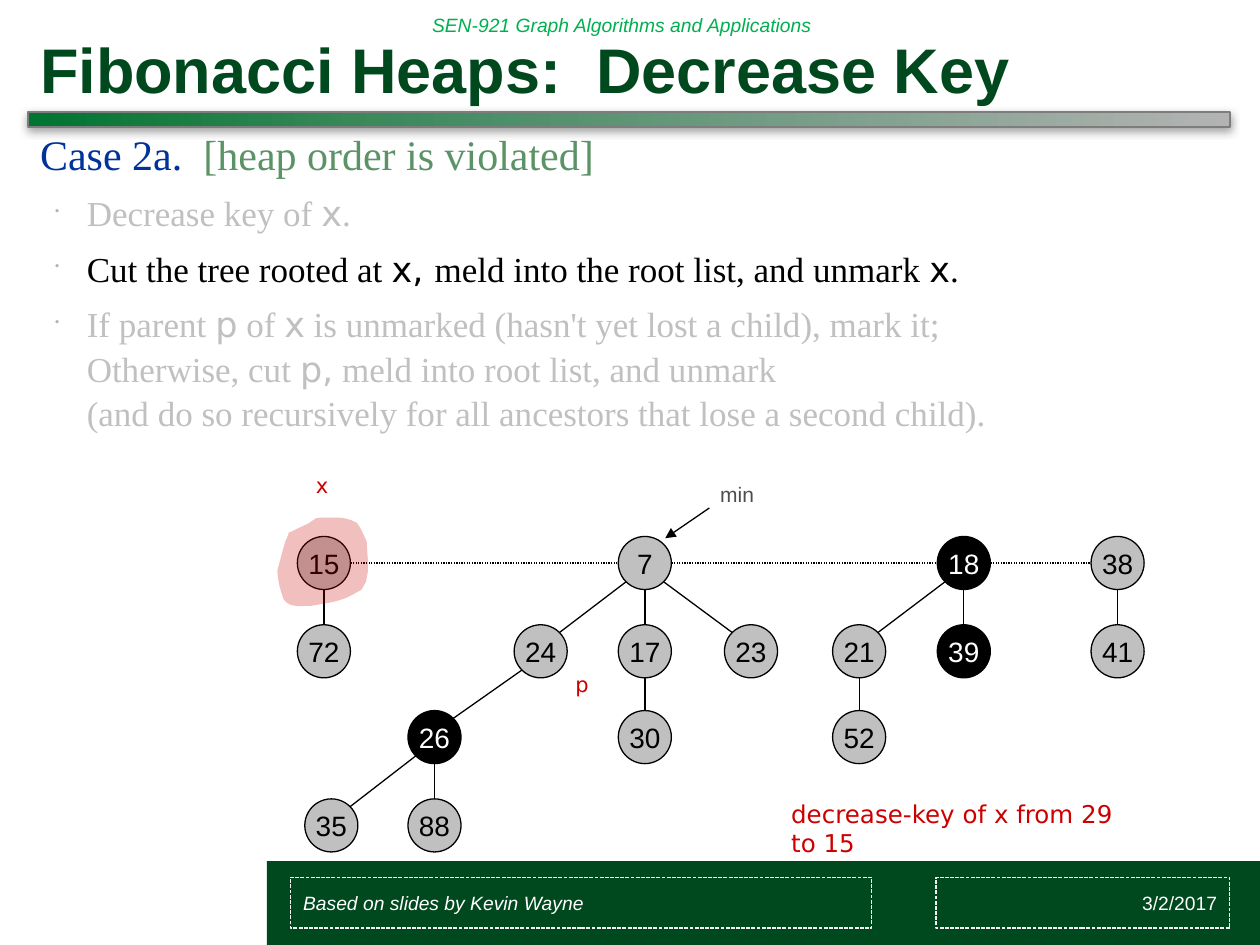
import pptx
import pptx.util
import pptx.dml.color
import pptx.enum.dml
import pptx.enum.shapes
import pptx.enum.text
import pptx.oxml
import pptx.oxml.ns
import copy
import math

Cm, Pt = pptx.util.Cm, pptx.util.Pt
KIND = pptx.enum.shapes.MSO_SHAPE
DASH = pptx.enum.dml.MSO_LINE
ANCHOR = pptx.enum.text.MSO_ANCHOR
ALIGN = pptx.enum.text.PP_ALIGN
SERIF, SANS, MONO = "Times New Roman", "Arial", "DejaVu Sans"
GREEN, GREY, RED = "00481E", "C0C0C0", "CC0000"
SIZE = 1.07  # node diameter

# key: (centre x, centre y, marked)
ROWS = (1.95, 3.73, 5.46, 7.24)
NODES = {
    15: (1.03, 0, False), 7: (7.5, 0, False), 18: (13.93, 0, True), 38: (17.03, 0, False),
    72: (1.03, 1, False), 24: (5.4, 1, False), 17: (7.5, 1, False), 23: (9.64, 1, False),
    21: (11.82, 1, False), 39: (13.93, 1, True), 41: (17.03, 1, False),
    26: (3.26, 2, True), 30: (7.5, 2, False), 52: (11.82, 2, False),
    35: (1.18, 3, False), 88: (3.26, 3, False),
}
EDGES = ((15, 72), (7, 24), (7, 17), (7, 23), (24, 26), (17, 30), (26, 35), (26, 88),
         (18, 21), (18, 39), (21, 52), (38, 41))
ROOTS = (15, 7, 18, 38)

# cubic curves of the highlight, in hundredths of an inch
BLOB = (((14, 11), (19, 8), (24, 6)), ((32, 1), (28, 2), (34, 1)),
        ((49, 1), (53, 0), (63, 5)), ((67, 10), (68, 14), (71, 20)),
        ((71, 32), (77, 58), (60, 62)), ((50, 68), (38, 69), (27, 71)),
        ((19, 71), (10, 73), (5, 66)), ((2, 56), (1, 55), (0, 43)),
        ((2, 36), (4, 28), (6, 21)), ((7, 18), (9, 15), (9, 13)))


def hue(code):
    """Turn a hex string into a colour."""
    return pptx.dml.color.RGBColor.from_string(code)


def xml(tag, inner="", **attrs):
    """Make one DrawingML element."""
    pairs = "".join(f' {k}="{v}"' for k, v in attrs.items())
    return pptx.oxml.parse_xml(
        f'<a:{tag} {pptx.oxml.ns.nsdecls("a")}{pairs}>{inner}</a:{tag}>')


def put(para, words, size=12, font=SANS, color="000000", bold=False, slant=False):
    """Add formatted words to a paragraph; newlines become line breaks."""
    for num, part in enumerate(words.split("\n")):
        if num:
            para.add_line_break()
        run = para.add_run()
        run.text = part
        run.font.size, run.font.name = Pt(size), font
        run.font.bold, run.font.italic = bold, slant
        run.font.color.rgb = hue(color)


def frame(shape, wrap=True, anchor=ANCHOR.TOP, align=ALIGN.LEFT):
    """Set up a shape's text frame and return its first paragraph."""
    body = shape.text_frame
    body.word_wrap, body.vertical_anchor = wrap, anchor
    para = body.paragraphs[0]
    para.alignment = align
    return para


def label(slide, box, words, wrap=True, anchor=ANCHOR.TOP, **style):
    """Place a one-paragraph text box."""
    shape = slide.shapes.add_textbox(*map(Cm, box))
    put(frame(shape, wrap, anchor), words, **style)


def form(slide, kind, box, fill=None, edge=None, width=0.74):
    """Place a plain preset shape."""
    shape = slide.shapes.add_shape(kind, *map(Cm, box))
    shape.shadow.inherit = False
    if fill:
        shape.fill.solid()
        shape.fill.fore_color.rgb = hue(fill)
    else:
        shape.fill.background()
    if edge:
        shape.line.color.rgb, shape.line.width = hue(edge), Pt(width)
    else:
        shape.line.fill.background()
    return shape


def link(slide, start, end, dots=False, arrow=False):
    """Draw a thin black line between two points."""
    line = slide.shapes.add_connector(
        pptx.enum.shapes.MSO_CONNECTOR.STRAIGHT, *map(Cm, (*start, *end)))
    line.line.color.rgb, line.line.width = hue("000000"), Pt(0.74)
    if dots:
        line.line.dash_style = DASH.ROUND_DOT
    if arrow:
        line.line._get_or_add_ln().append(xml("tailEnd", type="triangle"))
    line._element.spPr.append(xml("effectLst"))


def head(slide, left, top, wide):
    """Course line, title and shaded rule."""
    label(slide, (left + 7.9, top, 11.7, 1.02), "SEN-921 Graph Algorithms and Applications",
          anchor=ANCHOR.MIDDLE, size=11, color="00B050", slant=True)
    bar = form(slide, KIND.RECTANGLE, (left, top + 2.26, wide, 0.3), edge="7D7D7D", width=1)
    bar.fill.gradient()
    bar.fill.gradient_angle = 0
    stops = bar.fill.gradient_stops
    for stop, code, spot in zip(stops, ("007430", "B3B3B3"), (0, 1)):
        stop.color.rgb, stop.position = hue(code), spot
    first = stops[0]._gs
    first.addnext(copy.deepcopy(first))
    mid = bar.fill.gradient_stops[1]
    mid.color.rgb, mid.position = hue("3C895C"), 0.29
    glow = xml("outerShdw", '<a:srgbClr val="808080"><a:alpha val="75000"/></a:srgbClr>',
               blurRad=Pt(5), dist=Pt(2), dir=5400000, rotWithShape=0)
    bar._element.spPr.find(pptx.oxml.ns.qn("a:effectLst")).append(glow)
    label(slide, (left, top + 0.41, wide, 1.85), "Fibonacci Heaps:  Decrease Key",
          anchor=ANCHOR.BOTTOM, size=36, color=GREEN, bold=True)


def steps(slide, box):
    """Case heading and bullets; variables stand between bars."""
    shape = slide.shapes.add_textbox(*map(Cm, box))
    para = frame(shape)
    para.line_spacing = Pt(25.6)
    put(para, "Case 2a.  ", size=24, font=SERIF, color="003399")
    put(para, "[heap order is violated]", size=24, font=SERIF, color="5B9266")
    for words, color in (
            ("Decrease key of |x|.", GREY),
            ("Cut the tree rooted at |x, |meld into the root list, and unmark |x|.", "000000"),
            ("If parent |p| of |x| is unmarked (hasn't yet lost a child), mark it;\n"
             "Otherwise, cut |p,| meld into root list, and unmark\n"
             "(and do so recursively for all ancestors that lose a second child).", GREY)):
        para = shape.text_frame.add_paragraph()
        para.line_spacing, para.space_before = Pt(25.6), Pt(6)
        props = para._p.get_or_add_pPr()
        props.set("marL", str(Cm(0.94)))
        props.set("indent", str(-Cm(0.64)))
        props.append(xml("buClr", '<a:srgbClr val="B3B3B3"/>'))
        props.append(xml("buSzPct", val=35000))
        props.append(xml("buChar", char="•"))
        for num, part in enumerate(words.split("|")):
            put(para, part, size=20, font=MONO if num % 2 else SERIF, color=color)


def blob(slide, left, top):
    """Translucent highlight around node x."""
    last, dots = (9, 13), []
    for one, two, end in BLOB:
        for t in (n / 6 for n in range(1, 7)):
            u = 1 - t
            dots.append([u**3 * a + 3 * u * u * t * b + 3 * u * t * t * c + t**3 * d
                         for a, b, c, d in zip(last, one, two, end)])
        last = end
    dots = [(Cm(left + x * 0.0254), Cm(top + y * 0.0254)) for x, y in dots]
    pen = slide.shapes.build_freeform(*dots[-1])
    pen.add_line_segments(dots)
    shape = pen.convert_to_shape()
    shape.shadow.inherit = False
    shape.fill.solid()
    shape.fill.fore_color.rgb = hue(RED)
    shape._element.spPr.find(".//" + pptx.oxml.ns.qn("a:srgbClr")).append(
        xml("alpha", val=25000))
    shape.line.fill.background()


def heap(slide, left, top):
    """Trees, root list and their labels."""
    half = SIZE / 2
    spots = {key: (left + x, top + ROWS[row]) for key, (x, row, _) in NODES.items()}
    for up, down in EDGES:
        (ax, ay), (bx, by) = spots[up], spots[down]
        slope = half * math.sqrt(0.5)
        dx = math.copysign(slope, bx - ax) if ax != bx else 0
        dy = slope if dx else half
        link(slide, (ax + dx, ay + dy), (bx - dx, by - dy))
    for one, two in zip(ROOTS, ROOTS[1:]):
        (ax, y), (bx, _) = spots[one], spots[two]
        link(slide, (ax + half, y), (bx - half, y), dots=True)
    for key, (x, y) in spots.items():
        dark = NODES[key][2]
        node = form(slide, KIND.OVAL, (x - half, y - half, SIZE, SIZE),
                    "010000" if dark else GREY, "000000")
        put(frame(node, False, ANCHOR.MIDDLE, ALIGN.CENTER), str(key), size=16,
            color="FFFFFF" if dark else "000000")
    link(slide, (left + 8.8, top + 0.84), (left + 7.91, top + 1.45), arrow=True)
    label(slide, (left + 8.77, top + 0.18, 1.19, 0.76), "min", wrap=False, color="4D4D4D")
    label(slide, (left + 10.2, top + 6.58, 7.49, 0.86), "decrease-key of x from 29 to 15",
          size=14, font=MONO, color=RED)
    blob(slide, left + 0.09, top + 1.01)
    for name, x, y in (("p", 5.85, 4.01), ("x", 0.62, 0)):
        label(slide, (left + x, top + y, 0.72, 0.76), name, wrap=False, font=MONO, color=RED)


def foot(slide, left, top):
    """Green band with credit and date."""
    form(slide, KIND.RECTANGLE, (left, top, 20.02, 1.69), GREEN)
    for words, x, wide, align, slant in (
            ("3/2/2017", 13.49, 5.92, ALIGN.RIGHT, False),
            ("Based on slides by Kevin Wayne", 0.48, 11.71, ALIGN.LEFT, True)):
        cell = form(slide, KIND.RECTANGLE, (left + x, top + 0.33, wide, 1.02),
                    edge="F2F2F2", width=0.75)
        cell.line.dash_style = DASH.SQUARE_DOT
        cell.line._get_or_add_ln().prstDash.set("val", "sysDash")
        put(frame(cell, True, ANCHOR.MIDDLE, align), words, size=11, color="FFFFFF", slant=slant)


deck = pptx.Presentation()
deck.slide_width, deck.slide_height = Cm(25.4), Cm(19.05)
page = deck.slides.add_slide(deck.slide_layouts[6])
foot(page, 5.38, 17.36)
head(page, 0.56, 0, 24.23)
steps(page, (0.56, 2.57, 24.23, 14.45))
heap(page, 5.5, 9.4)
deck.save("out.pptx")
